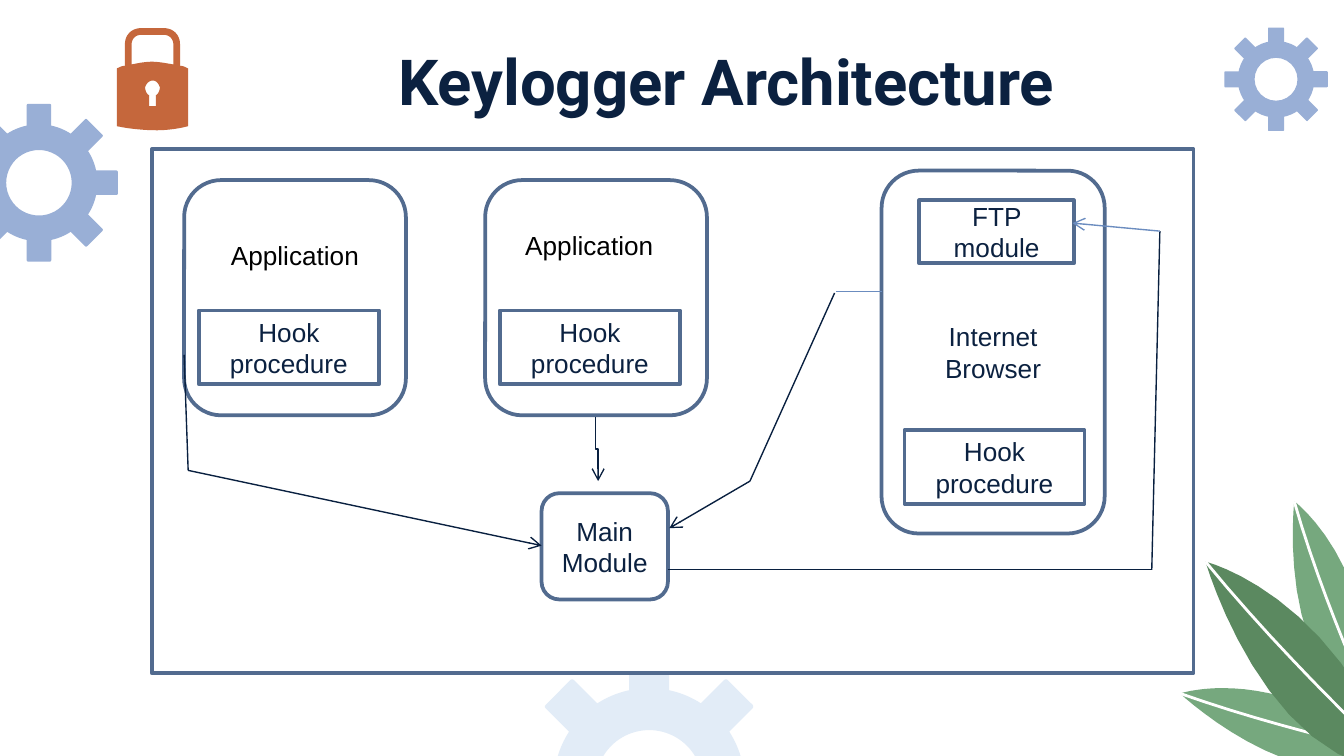
"""Build the Keylogger Architecture slide."""
from math import cos, pi, sin
from lxml.etree import SubElement
from pptx import Presentation
from pptx.dml.color import RGBColor
from pptx.enum.shapes import MSO_CONNECTOR, MSO_SHAPE
from pptx.enum.text import MSO_ANCHOR, PP_ALIGN
from pptx.oxml.ns import qn
from pptx.util import Pt

PX = 9144
WIDTH = 1000
HEIGHT = WIDTH * 9 / 16
NAVY, SLATE, BLUE, WHITE = "0B2140", "526B8F", "6B8CBF", "FFFFFF"
INK, BLACK, ORANGE = "092040", "000000", "C5673C"
PERIWINKLE, PALE = "99AFD6", "E2ECF7"
LIGHT_GREEN, DARK_GREEN = "76A87E", "5B8960"

presentation = Presentation()
presentation.slide_width, presentation.slide_height = WIDTH * PX, int(HEIGHT * PX)
slide = presentation.slides.add_slide(presentation.slide_layouts[6])
shapes = slide.shapes


def paint(shape, fill=None, line=None, weight=2):
    """Set fill and line from hex strings and drop the shadow."""
    shape.shadow.inherit = False
    for target, color in ((shape.fill, fill), (shape.line.fill, line)):
        if color:
            target.solid()
            target.fore_color.rgb = RGBColor.from_string(color)
        else:
            target.background()
    if line:
        shape.line.width = Pt(weight)


def add_outline(contours, closed=True):
    """Draw contours whose segments hold one point (line) or three (curve)."""
    builder = None
    for (start,), *segments in contours:
        points, pen = [], start
        for segment in segments:
            if len(segment) == 1:
                points.append(segment[0])
            else:
                for step in range(1, 13):
                    t = step / 12
                    weights = ((1 - t) ** 3, 3 * t * (1 - t) ** 2, 3 * t * t * (1 - t), t ** 3)
                    controls = (pen, *segment)
                    points.append([sum(w * c[axis] for w, c in zip(weights, controls)) for axis in (0, 1)])
            pen = segment[-1]
        if builder is None:
            builder = shapes.build_freeform(start[0] * PX, start[1] * PX)
        else:
            builder.move_to(start[0] * PX, start[1] * PX)
        builder.add_line_segments([(x * PX, y * PX) for x, y in points], close=closed)
    return builder.convert_to_shape()


gears = [(29, 136, 43.5, PERIWINKLE), (949.5, 59, 28.5, PERIWINKLE), (483, 583, 71, PALE)]
for center_x, center_y, radius, color in gears:
    ring = shapes.add_shape(MSO_SHAPE.DONUT, *(int(v * PX) for v in (
        center_x - radius, center_y - radius, 2 * radius, 2 * radius)))
    ring.adjustments[0] = 0.22
    paint(ring, color)
    size = 0.42 * radius
    for tooth_number in range(8):
        angle = tooth_number * pi / 4
        x = center_x + 1.14 * radius * cos(angle)
        y = center_y + 1.14 * radius * sin(angle)
        if x + size / 2 > 0 and y - size / 2 < HEIGHT:
            tooth = shapes.add_shape(MSO_SHAPE.ROUNDED_RECTANGLE, *(int(v * PX) for v in (
                x - size / 2, y - size / 2, size, size)))
            tooth.adjustments[0] = 0.06
            tooth.rotation = tooth_number * 45
            paint(tooth, color)

leaves = [
    (LIGHT_GREEN,
     [[(963, 373)], [(963, 373), (1025, 419), (1020, 530)], [(949, 497), (963, 373), (963, 373)]],
     [[(963, 373)], [(984, 447), (1020, 525), (1020, 525)]]),
    (LIGHT_GREEN,
     [[(910, 512)], [(939, 512), (986, 521), (1039, 563)], [(1026, 570), (1013, 573), (999, 573)],
      [(939, 573), (878, 516), (878, 516)], [(878, 516), (890, 512), (910, 512)]],
     [[(878, 516)], [(951, 542), (1035, 560), (1035, 560)]]),
    (DARK_GREEN,
     [[(897, 418)], [(897, 418), (992, 441), (1041, 574)], [(941, 570), (897, 418), (897, 418)]],
     [[(897, 418)], [(959, 494), (1039, 568), (1039, 568)]]),
]
for color, blade, vein in leaves:
    paint(add_outline([blade]), color)
    paint(add_outline([vein], closed=False), line=WHITE, weight=1.5)

shackle_hole = [
    [(122, 26)], [(126, 26), (129, 29), (129, 33)], [(129, 48)], [(123, 47), (118, 46), (113, 46)],
    [(108, 46), (103, 47), (98, 48)], [(98, 33)], [(98, 29), (101, 26), (105, 26)]]
keyhole = [
    [(114, 60)], [(116, 60), (118, 62), (119, 65)], [(119, 67), (118, 70), (116, 71)], [(116, 79)],
    [(111, 79)], [(111, 71)], [(109, 70), (108, 67), (108, 65)], [(109, 62), (111, 60), (114, 60)]]
lock_body = [
    [(122, 21)], [(105, 21)], [(98, 21), (93, 26), (93, 33)], [(93, 49)], [(91, 49), (89, 50), (87, 51)],
    [(87, 94)], [(97, 96), (107, 97), (117, 97)], [(124, 97), (132, 96), (140, 94)], [(140, 51)],
    [(138, 50), (136, 49), (134, 49)], [(134, 33)], [(134, 26), (129, 21), (122, 21)]]
paint(add_outline([shackle_hole, keyhole, lock_body]), ORANGE)

RECTANGLE, ROUNDED = MSO_SHAPE.RECTANGLE, MSO_SHAPE.ROUNDED_RECTANGLE
boxes = [
    (RECTANGLE, 113, 111, 775, 390, ""),
    (ROUNDED, 137, 134, 165, 175, ""),
    (ROUNDED, 361, 134, 165, 175, ""),
    (ROUNDED, 656, 127, 166, 270, "Internet Browser"),
    (ROUNDED, 403, 367, 94, 79, "Main Module"),
    (RECTANGLE, 148, 231, 134, 55, "Hook procedure"),
    (RECTANGLE, 372, 231, 134, 55, "Hook procedure"),
    (RECTANGLE, 673, 320, 134, 55, "Hook procedure"),
    (RECTANGLE, 684, 149, 115, 47, "FTP module"),
    (None, 161, 173, 117, 34, "Application"),
    (None, 380, 166, 117, 34, "Application"),
    (None, 243, 28, 595, 63, "Keylogger Architecture"),
]
for kind, left, top, width, height, text in boxes:
    place = [length * PX for length in (left, top, width, height)]
    if kind:
        shape = shapes.add_shape(kind, *place)
        paint(shape, WHITE, SLATE)
    else:
        shape = shapes.add_textbox(*place)
    if text:
        is_title = text.startswith("Keylogger")
        frame = shape.text_frame
        frame.word_wrap = True
        frame.vertical_anchor = MSO_ANCHOR.MIDDLE if kind or is_title else MSO_ANCHOR.TOP
        frame.text = text
        paragraph = frame.paragraphs[0]
        paragraph.alignment = PP_ALIGN.CENTER
        font = paragraph.runs[0].font
        font.name = "Roboto" if is_title else "Arial"
        font.size = Pt(34 if is_title else 14)
        font.bold = is_title
        font.color.rgb = RGBColor.from_string(NAVY if kind or is_title else BLACK)

STRAIGHT, ELBOW = MSO_CONNECTOR.STRAIGHT, MSO_CONNECTOR.ELBOW
links = [
    (ELBOW, 468, 333, 420, 335, INK, True),
    (STRAIGHT, 137, 264, 140, 350, INK, False),
    (STRAIGHT, 140, 350, 403, 406, INK, True),
    (STRAIGHT, 656, 217, 622, 217, BLUE, False),
    (STRAIGHT, 621, 218, 558, 358, INK, False),
    (STRAIGHT, 558, 358, 498, 393, INK, True),
    (STRAIGHT, 497, 424, 718, 424, INK, False),
    (STRAIGHT, 636, 424, 857, 424, INK, False),
    (STRAIGHT, 857, 424, 863, 172, INK, False),
    (STRAIGHT, 863, 172, 798, 166, BLUE, True),
]
for kind, begin_x, begin_y, end_x, end_y, color, has_arrow in links:
    link = shapes.add_connector(kind, begin_x * PX, begin_y * PX, end_x * PX, end_y * PX)
    link.line.color.rgb = RGBColor.from_string(color)
    link.line.width = Pt(0.75)
    properties = link._element.spPr
    if has_arrow:
        SubElement(properties.find(qn("a:ln")), qn("a:tailEnd"), type="arrow")
    if kind == ELBOW:
        properties.find(qn("a:xfrm")).set("rot", "16200000")
    SubElement(properties, qn("a:effectLst"))

presentation.save("out.pptx")
